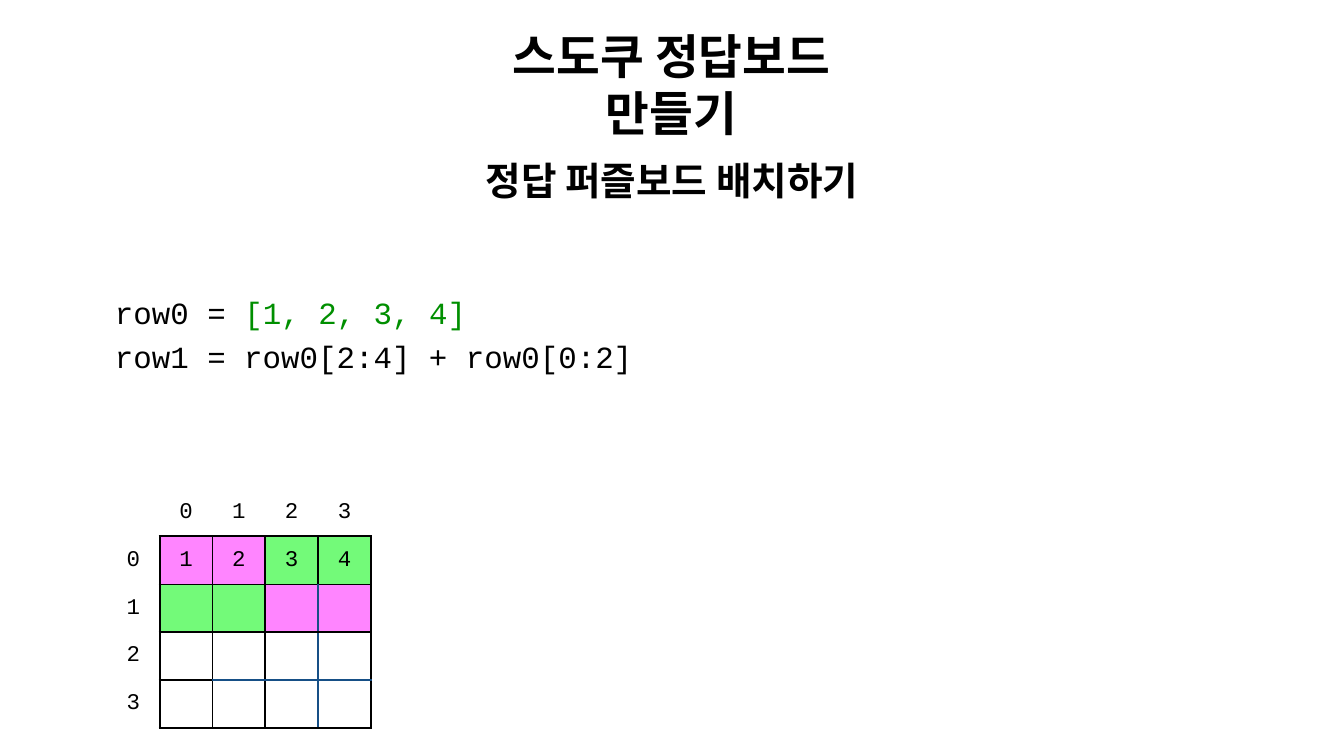
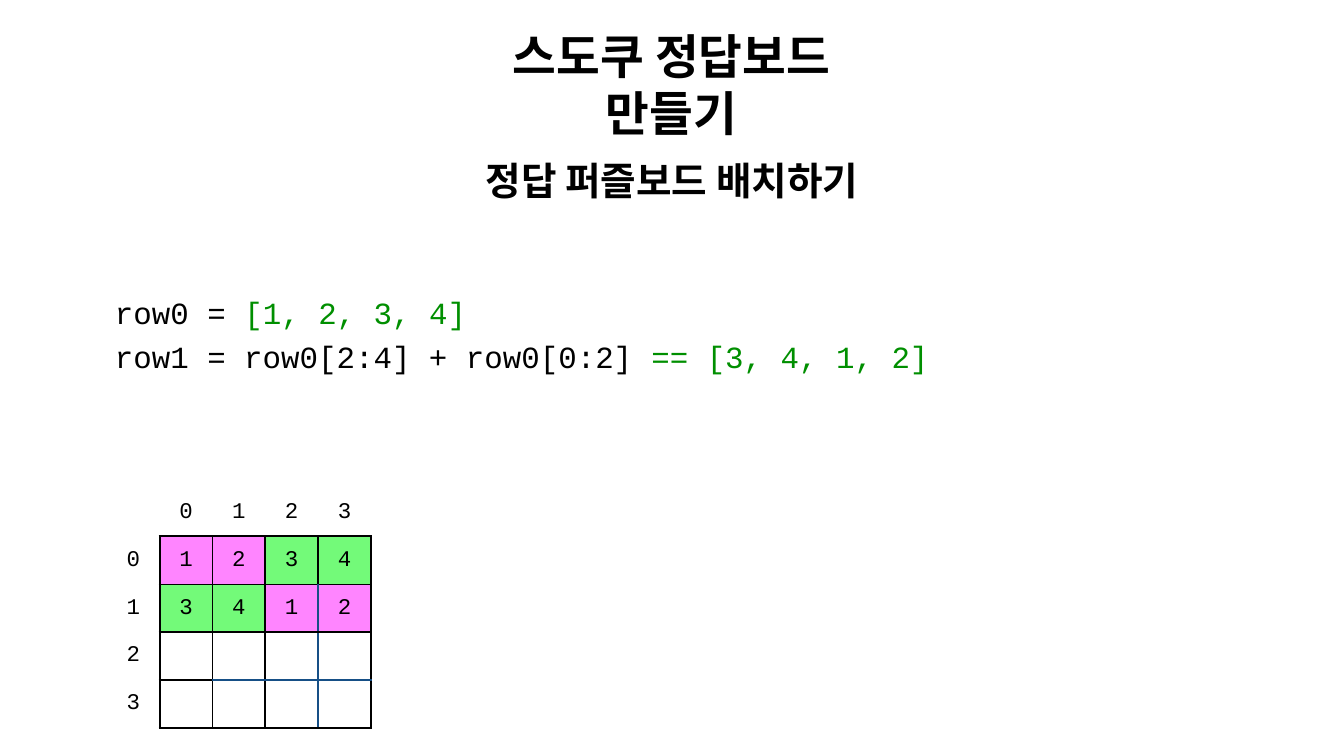
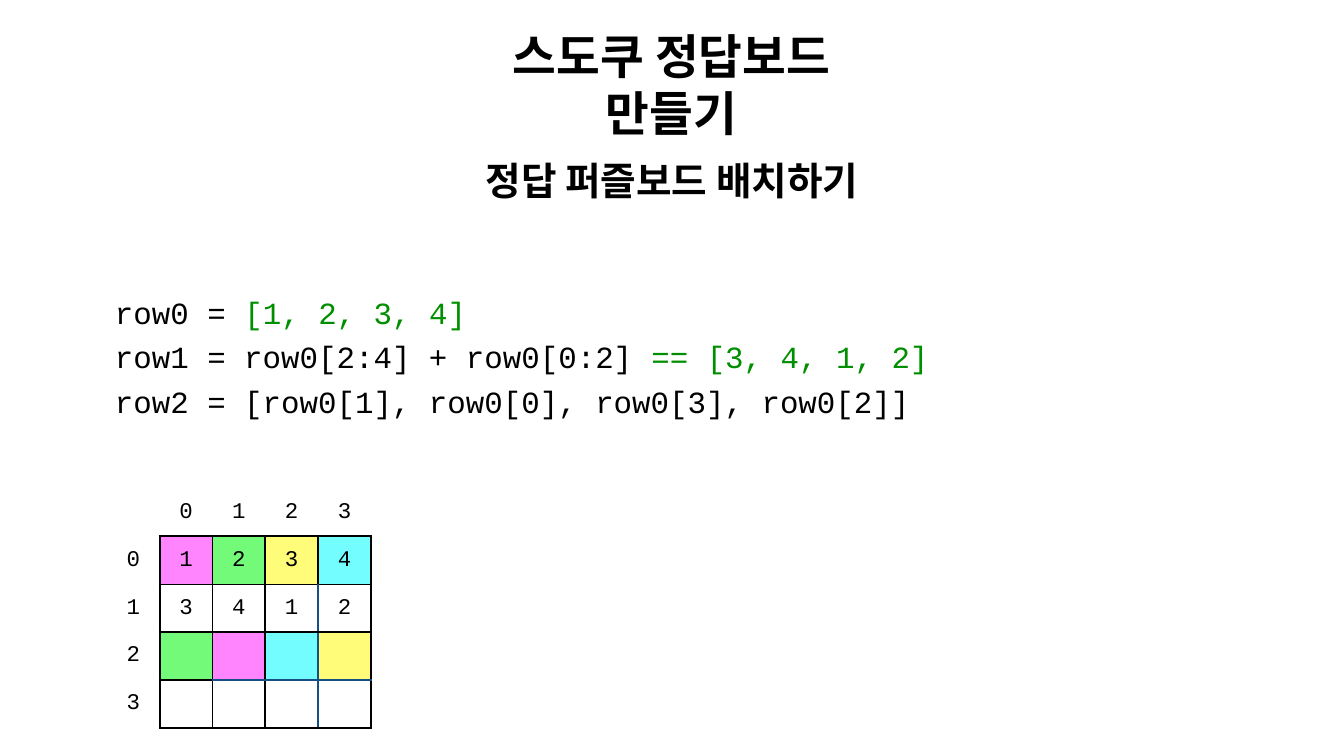
from dataclasses import dataclass
from itertools import product, zip_longest

from lxml.etree import SubElement as Sub
from pptx import Presentation
from pptx.dml.color import RGBColor as Rgb
from pptx.enum.shapes import MSO_SHAPE as Shape
from pptx.enum.text import MSO_ANCHOR as Anchor, MSO_AUTO_SIZE as Fit, PP_ALIGN as Align
from pptx.oxml.ns import qn
from pptx.util import Inches, Pt


@dataclass(frozen=True)
class Theme:
    """Colours, fonts and type sizes of the deck."""
    ink: str = "000000"
    paper: str = "FFFFFF"
    result: str = "008F00"
    blue: str = "164F86"
    head: str = "Roboto"
    mono: str = "Courier New"
    title: float = 68
    sub: float = 55.2
    code: float = 44
    cell: float = 32
    thick: float = 3
    thin: float = 2


THEME = Theme()
WIDE, HIGH = Inches(26.67), Inches(15)
TINTS = {"m": "FF85FF", "g": "73FA79", "y": "FFFC79", "c": "73FDFF", "w": THEME.paper}
SIZE = 4
BARE = "{2D5ABB26-0587-4C30-8999-92F81FD0307C}"

TITLE = "스도쿠 정답보드 만들기"
TOPIC = "정답 퍼즐보드 배치하기"
ROW0 = ("row0 = ", "[1, 2, 3, 4]")
SWAP = "row1 = row0[2:4] + row0[0:2]"
ROW1 = (SWAP + " ", "== [3, 4, 1, 2]")
ROW2 = ("row2 = [row0[1], row0[0], row0[3], row0[2]]",)
HALVES = ["mmgg", "ggmm"]
PAIRS = ["mgyc", "wwww", "gmcy"]
STEPS = [
    ([ROW0, (SWAP,)], ["1234"], HALVES),
    ([ROW0, ROW1], ["1234", "3412"], HALVES),
    ([ROW0, ROW1, ROW2], ["1234", "3412"], PAIRS),
]


def area(left, top, width, height):
    """Turn percentages of the slide into a box."""
    return [int(part * full / 100)
            for part, full in zip((left, top, width, height), (WIDE, HIGH) * 2)]


def style(run, face, size, tint=THEME.ink, bold=False):
    """Set the font of a run."""
    font = run.font
    font.name, font.size, font.bold = face, Pt(size), bold
    font.color.rgb = Rgb.from_string(tint)


def inset(item, gap):
    """Give a frame or cell the same margin on every side."""
    item.margin_left = item.margin_right = item.margin_top = item.margin_bottom = Inches(gap)


def label(frame, text, size, anchor, gap):
    """Write one centred bold heading in a frame."""
    inset(frame, gap)
    frame.vertical_anchor = anchor
    frame.text = text
    para = frame.paragraphs[0]
    para.alignment = Align.CENTER
    style(para.runs[0], THEME.head, size, bold=True)


def title(slide):
    """Add the title of the deck."""
    frame = slide.shapes.add_textbox(*area(33.37, 6.6, 33.22, 9.07)).text_frame
    label(frame, TITLE, THEME.title, Anchor.MIDDLE, 0.08)
    frame.word_wrap = False
    frame.auto_size = Fit.SHAPE_TO_FIT_TEXT


def topic(slide):
    """Add the topic band under the title."""
    band = slide.shapes.add_shape(Shape.RECTANGLE, *area(19.16, 19.87, 61.68, 7.4))
    band.shadow.inherit = False
    band.fill.solid()
    band.fill.fore_color.rgb = Rgb.from_string(THEME.paper)
    band.line.fill.background()
    label(band.text_frame, TOPIC, THEME.sub, Anchor.BOTTOM, 0.06)


def code(slide, lines):
    """Add code lines, each a statement and its optional result."""
    frame = slide.shapes.add_textbox(*area(8.25, 35.4, 83.46, 28.4)).text_frame
    frame.word_wrap = True
    inset(frame, 0.08)
    frame.margin_top = Inches(0.37)
    for nth, line in enumerate(lines):
        para = frame.add_paragraph() if nth else frame.paragraphs[0]
        para.line_spacing = 1.2
        for text, tint in zip(line, (THEME.ink, THEME.result)):
            run = para.add_run()
            run.text = text
            style(run, THEME.mono, THEME.code, tint)


def edge(cell, side, line, cross):
    """Draw a border: even grid lines are thick, the last inner one turns blue."""
    width = THEME.thin if line % 2 else THEME.thick
    tint = THEME.blue if line == SIZE - 1 and cross else THEME.ink
    mark = Sub(cell._tc.get_or_add_tcPr(), qn(f"a:ln{side}"), w=str(Pt(width)))
    Sub(Sub(mark, qn("a:solidFill")), qn("a:srgbClr"), val=tint)


def fill(cell, text, tint):
    """Set the colour and the centred text of a cell."""
    cell.fill.solid()
    cell.fill.fore_color.rgb = Rgb.from_string(tint)
    cell.vertical_anchor = Anchor.MIDDLE
    inset(cell, 0.06)
    if text:
        cell.text = text
        para = cell.text_frame.paragraphs[0]
        para.alignment = Align.CENTER
        style(para.runs[0], THEME.mono, THEME.cell)


def pick(rows, row, col, other):
    """Look up a character of a partly filled grid."""
    return rows[row][col] if row < len(rows) else other


def board(slide, digits, tints):
    """Add the puzzle board with its row and column numbers."""
    count = SIZE + 1
    table = slide.shapes.add_table(count, count, *area(7.95, 64.6, 19.65, 31.67)).table
    table.first_row = table.horz_banding = False
    table._tbl.tblPr.find(qn("a:tableStyleId")).text = BARE
    for row, col in product(range(-1, SIZE), repeat=2):
        cell = table.cell(row + 1, col + 1)
        if row >= 0 and col >= 0:
            for side, line, cross in (("L", col, row), ("R", col + 1, row),
                                      ("T", row, col), ("B", row + 1, col)):
                edge(cell, side, line, cross)
            fill(cell, pick(digits, row, col, ""), TINTS[pick(tints, row, col, "w")])
        else:
            if row >= 0:
                edge(cell, "R", 0, row)
            text = "" if row == col else str(max(row, col))
            fill(cell, text, THEME.paper)


def main():
    """Build one slide for each step."""
    deck = Presentation()
    deck.slide_width, deck.slide_height = WIDE, HIGH
    for lines, digits, tints in STEPS:
        slide = deck.slides.add_slide(deck.slide_layouts[6])
        title(slide)
        code(slide, lines)
        topic(slide)
        board(slide, digits, tints)
    deck.save("out.pptx")


if __name__ == "__main__":
    main()
